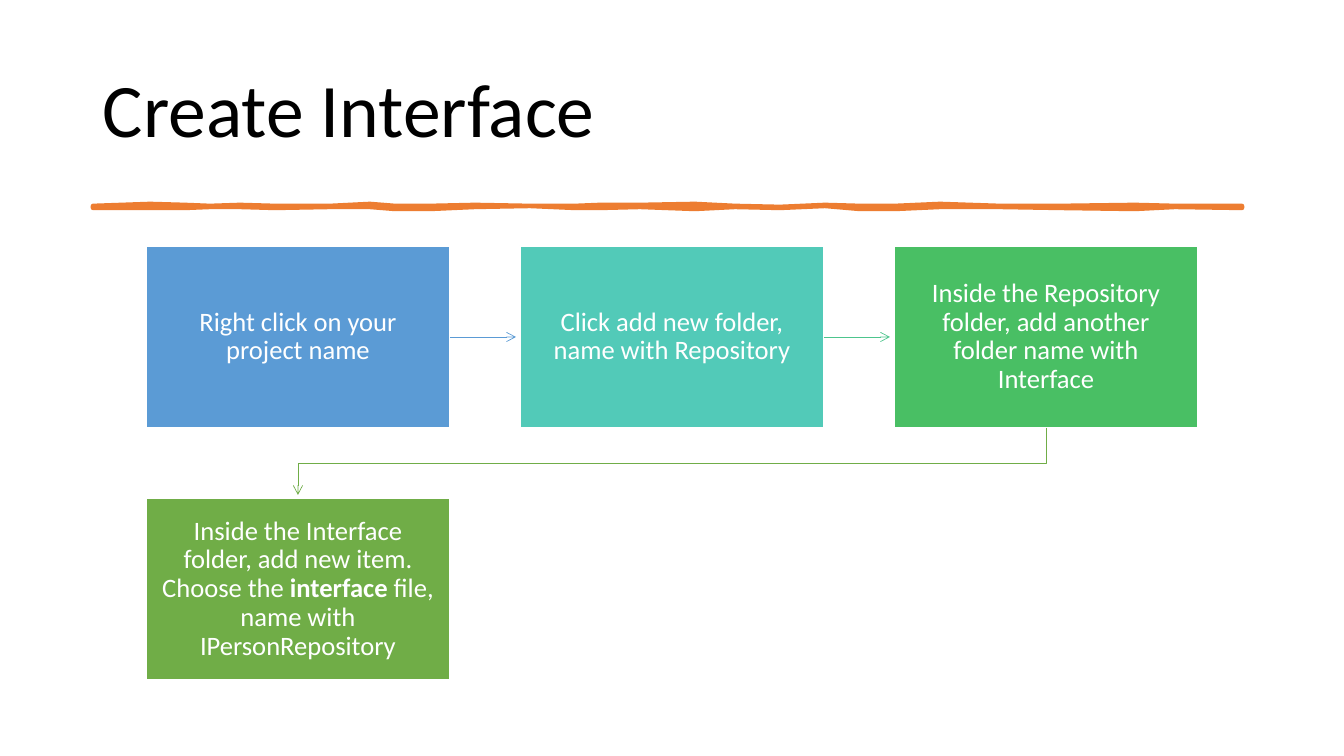
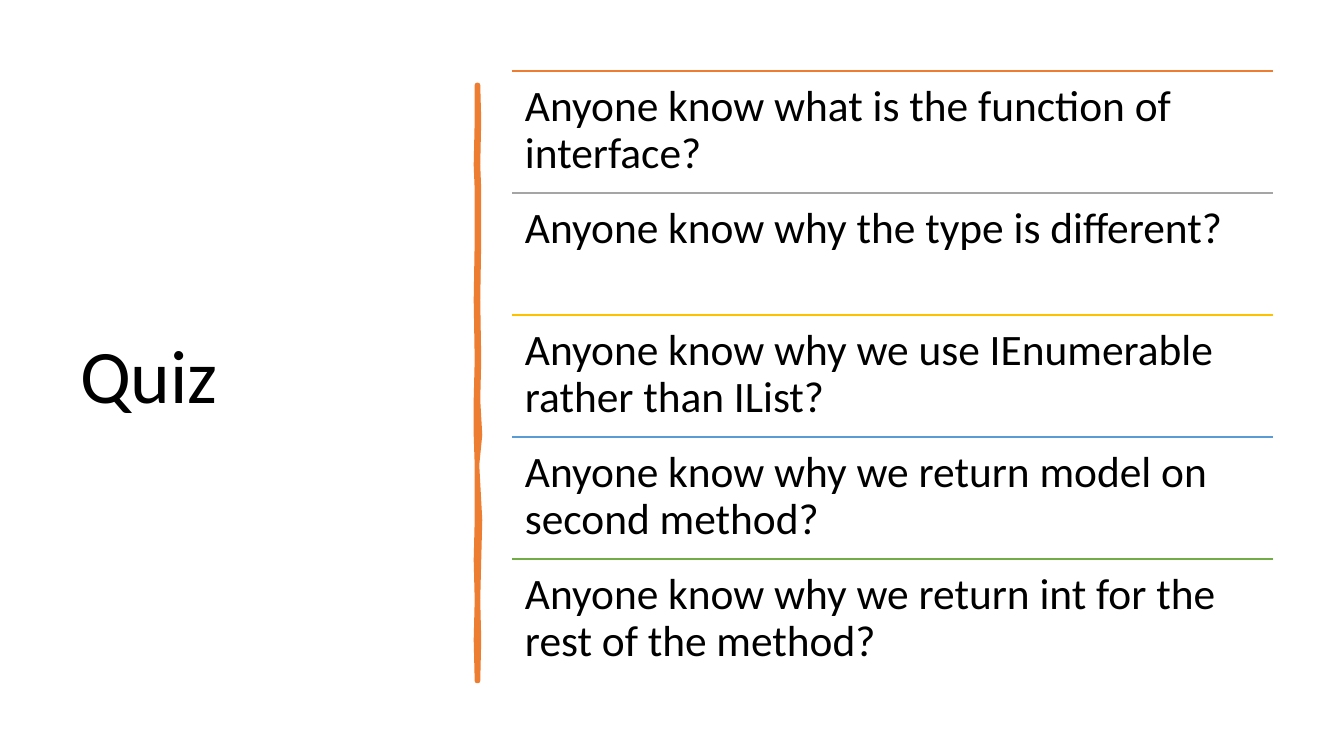
from lxml import etree
from pptx import Presentation
from pptx import util as u
from pptx.dml.color import RGBColor
from pptx.enum import shapes, text
from pptx.oxml.ns import qn

SCALE = 914400 / 100.8
FONT = "Calibri"
BLACK = RGBColor(0x00, 0x00, 0x00)
WHITE = RGBColor(0xFF, 0xFF, 0xFF)
ORANGE = RGBColor(0xED, 0x7D, 0x31)
GRAY = RGBColor(0xA5, 0xA5, 0xA5)
GOLD = RGBColor(0xFF, 0xC0, 0x00)
BLUE = RGBColor(0x5B, 0x9B, 0xD5)
TEAL = RGBColor(0x52, 0xCA, 0xB8)
SEA_GREEN = RGBColor(0x4D, 0xC5, 0x8D)
EMERALD = RGBColor(0x49, 0xBF, 0x64)
GREEN = RGBColor(0x70, 0xAD, 0x47)

BOX_LEFT, BOX_TOP, BOX_W, BOX_H = 146, 246, 304, 182
BOX_STEP_X, BOX_STEP_Y = 374, 252
STEPS = [
    (BLUE, ["Right click on your project name"]),
    (TEAL, ["Click add new folder, name with Repository"]),
    (EMERALD, ["Inside the Repository folder, add another folder name with Interface"]),
    (GREEN, ["Inside the Interface folder, add new item. Choose the ", "interface",
             " file, name with IPersonRepository"]),
]

QUIZ_LEFT, QUIZ_TOP, QUIZ_W, QUIZ_STEP = 512, 71, 761, 122
QUESTIONS = [
    (ORANGE, "Anyone know what is the function of interface?"),
    (GRAY, "Anyone know why the type is different?"),
    (GOLD, "Anyone know why we use IEnumerable rather than IList?"),
    (BLUE, "Anyone know why we return model on second method?"),
    (GREEN, "Anyone know why we return int for the rest of the method?"),
]

TITLE_STROKE = [
    (93, 206, 208), (150, 204, 208), (185, 205, 208), (210, 206, 207),
    (240, 205, 207), (275, 206, 208), (330, 206, 207), (370, 204, 207),
    (395, 206, 209), (430, 206, 209), (475, 205, 207), (530, 206, 206),
    (575, 206, 208), (600, 205, 208), (640, 205, 207), (695, 204, 209),
    (735, 206, 207), (780, 207, 208), (825, 205, 206), (860, 206, 209),
    (895, 206, 209), (940, 204, 207), (1000, 206, 207), (1060, 206, 208),
    (1135, 205, 209), (1175, 206, 207), (1242, 206, 208),
]
QUIZ_STROKE = [
    (85, 477, 478), (120, 477, 479), (165, 476, 478), (190, 477, 479),
    (240, 477, 479), (300, 476, 478), (360, 477, 479), (400, 476, 478),
    (435, 476, 480), (465, 477, 477), (520, 477, 480), (560, 476, 479),
    (600, 477, 478), (640, 476, 479), (681, 477, 478),
]


def px(n):
    """Turn pixels into EMU."""
    return u.Emu(round(n * SCALE))


def style_text(tf, size, color, align, anchor, insets):
    """Lay out a text frame and format all its runs."""
    tf.word_wrap = True
    tf.auto_size = text.MSO_AUTO_SIZE.NONE
    tf.vertical_anchor = anchor
    tf.margin_left = tf.margin_right = px(insets[0])
    tf.margin_top = tf.margin_bottom = px(insets[1])
    for p in tf.paragraphs:
        p.alignment = align
        p.line_spacing = 0.9
        for r in p.runs:
            r.font.name = FONT
            r.font.size = u.Pt(size)
            r.font.color.rgb = color


def style_line(sp, color, width, arrow=False):
    """Give an outline its colour, width, round joins and arrowhead."""
    sp.line.color.rgb = color
    sp.line.width = u.Pt(width)
    ln = sp.line._get_or_add_ln()
    etree.SubElement(ln, qn("a:round"))
    if arrow:
        etree.SubElement(ln, qn("a:tailEnd"), type="arrow")


def add_title_slide(prs, title, left, top, width, height):
    """Add a title-only slide with its title placed and formatted."""
    s = prs.slides.add_slide(prs.slide_layouts[5])
    sp = s.shapes.title
    sp.left, sp.top, sp.width, sp.height = map(px, (left, top, width, height))
    sp.text_frame.text = title
    style_text(sp.text_frame, 54, BLACK, text.PP_ALIGN.LEFT,
               text.MSO_ANCHOR.MIDDLE, (10, 5))
    return s


def add_path(s, points, close):
    """Add a freeform through the given points."""
    builder = s.shapes.build_freeform(*points[0], scale=SCALE)
    builder.add_line_segments(points[1:], close=close)
    sp = builder.convert_to_shape()
    sp.shadow.inherit = False
    return sp


def add_brush_stroke(s, profile, vertical=False):
    """Add the uneven orange stroke from positions and both edges."""
    near = [(at, edge) for at, edge, _ in profile]
    far = [(at, edge) for at, _, edge in reversed(profile)]
    points = near + far
    if vertical:
        points = [(x, y) for y, x in points]
    sp = add_path(s, points, True)
    sp.fill.solid()
    sp.fill.fore_color.rgb = ORANGE
    style_line(sp, ORANGE, 3.25)


def add_line(s, x1, y1, x2, y2, color, width, arrow=False):
    """Add a straight connector."""
    sp = s.shapes.add_connector(shapes.MSO_CONNECTOR.STRAIGHT,
                                px(x1), px(y1), px(x2), px(y2))
    style_line(sp, color, width, arrow)
    etree.SubElement(sp._element.spPr, qn("a:effectLst"))


def add_elbow_arrow(s, points, color):
    """Add an arrow with right-angled bends."""
    sp = add_path(s, points, False)
    sp.fill.background()
    style_line(sp, color, 0.5, True)


def add_step(s, left, top, color, parts):
    """Add a step box; every second part of its text is bold."""
    sp = s.shapes.add_shape(shapes.MSO_SHAPE.RECTANGLE,
                            px(left), px(top), px(BOX_W), px(BOX_H))
    sp.shadow.inherit = False
    sp.fill.solid()
    sp.fill.fore_color.rgb = color
    style_line(sp, WHITE, 1)
    p = sp.text_frame.paragraphs[0]
    for i, part in enumerate(parts):
        r = p.add_run()
        r.text = part
        r.font.bold = i % 2 == 1
    style_text(sp.text_frame, 19, WHITE, text.PP_ALIGN.CENTER,
               text.MSO_ANCHOR.MIDDLE, (15, 16))


def add_question(s, top, color, question):
    """Add a quiz question under its coloured rule."""
    add_line(s, QUIZ_LEFT, top, QUIZ_LEFT + QUIZ_W, top, color, 1)
    sp = s.shapes.add_textbox(px(QUIZ_LEFT), px(top), px(QUIZ_W), px(QUIZ_STEP))
    sp.text_frame.text = question
    style_text(sp.text_frame, 31, BLACK, text.PP_ALIGN.LEFT,
               text.MSO_ANCHOR.TOP, (13, 13))


def build_interface_slide(prs):
    """Build the flow of steps for creating an interface."""
    s = add_title_slide(prs, "Create Interface", 93, 40, 1159, 146)
    add_brush_stroke(s, TITLE_STROKE)
    for i, (color, parts) in enumerate(STEPS):
        row, col = divmod(i, 3)
        add_step(s, BOX_LEFT + col * BOX_STEP_X, BOX_TOP + row * BOX_STEP_Y,
                 color, parts)
    middle = BOX_TOP + BOX_H // 2
    for i, color in enumerate((BLUE, SEA_GREEN)):
        right = BOX_LEFT + i * BOX_STEP_X + BOX_W
        add_line(s, right, middle, right + 66, middle, color, 0.5, True)
    end_x = BOX_LEFT + BOX_W // 2
    start_x = end_x + 2 * BOX_STEP_X
    bottom = BOX_TOP + BOX_H
    add_elbow_arrow(s, [(start_x, bottom), (start_x, bottom + 35),
                        (end_x, bottom + 35), (end_x, bottom + 67)], GREEN)


def build_quiz_slide(prs):
    """Build the list of quiz questions."""
    s = add_title_slide(prs, "Quiz", 70, 71, 377, 616)
    add_brush_stroke(s, QUIZ_STROKE, vertical=True)
    for i, (color, question) in enumerate(QUESTIONS):
        add_question(s, QUIZ_TOP + i * QUIZ_STEP, color, question)


def main():
    """Build and save the presentation."""
    prs = Presentation()
    prs.slide_width, prs.slide_height = px(1344), px(756)
    build_interface_slide(prs)
    build_quiz_slide(prs)
    prs.save("out.pptx")


main()
